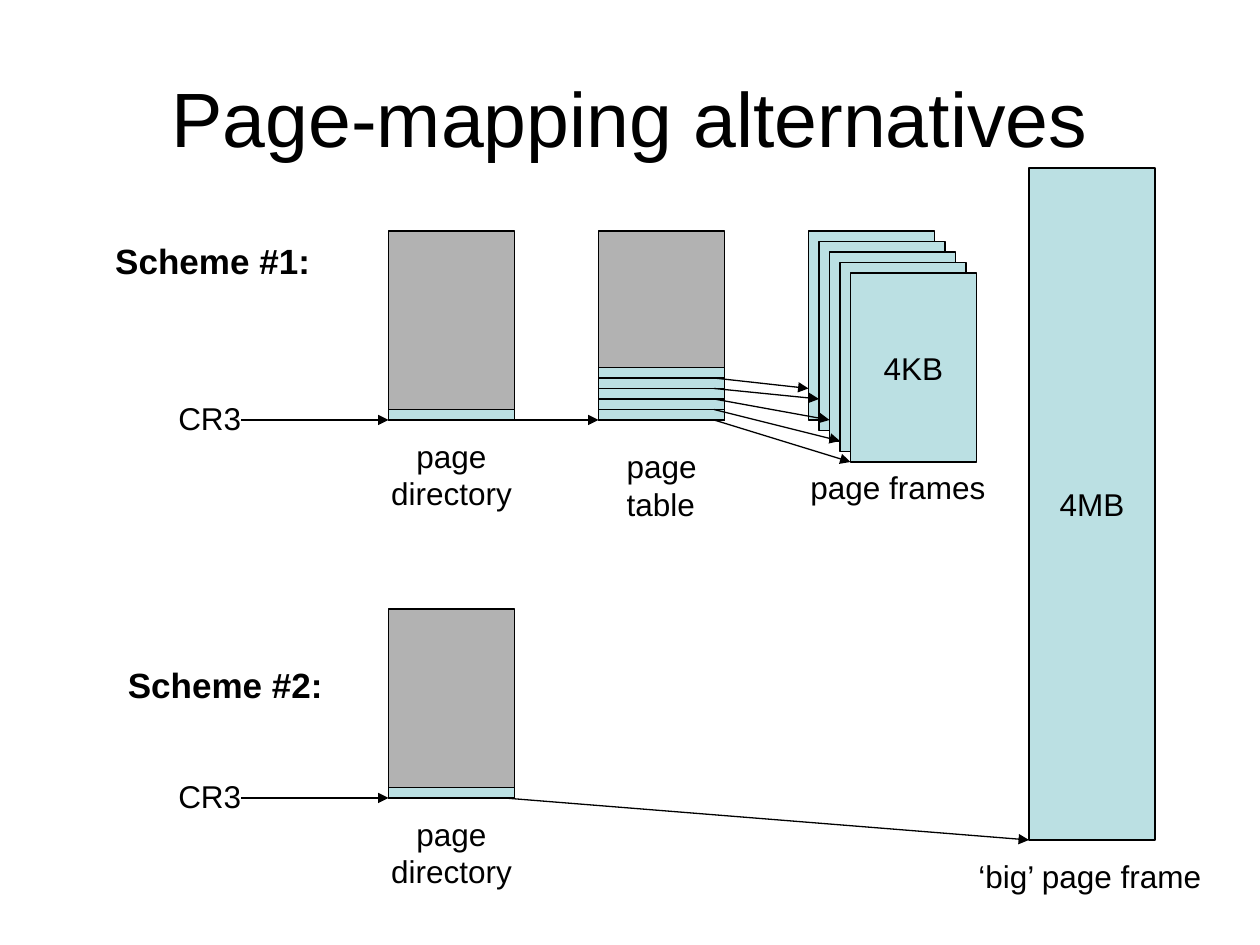
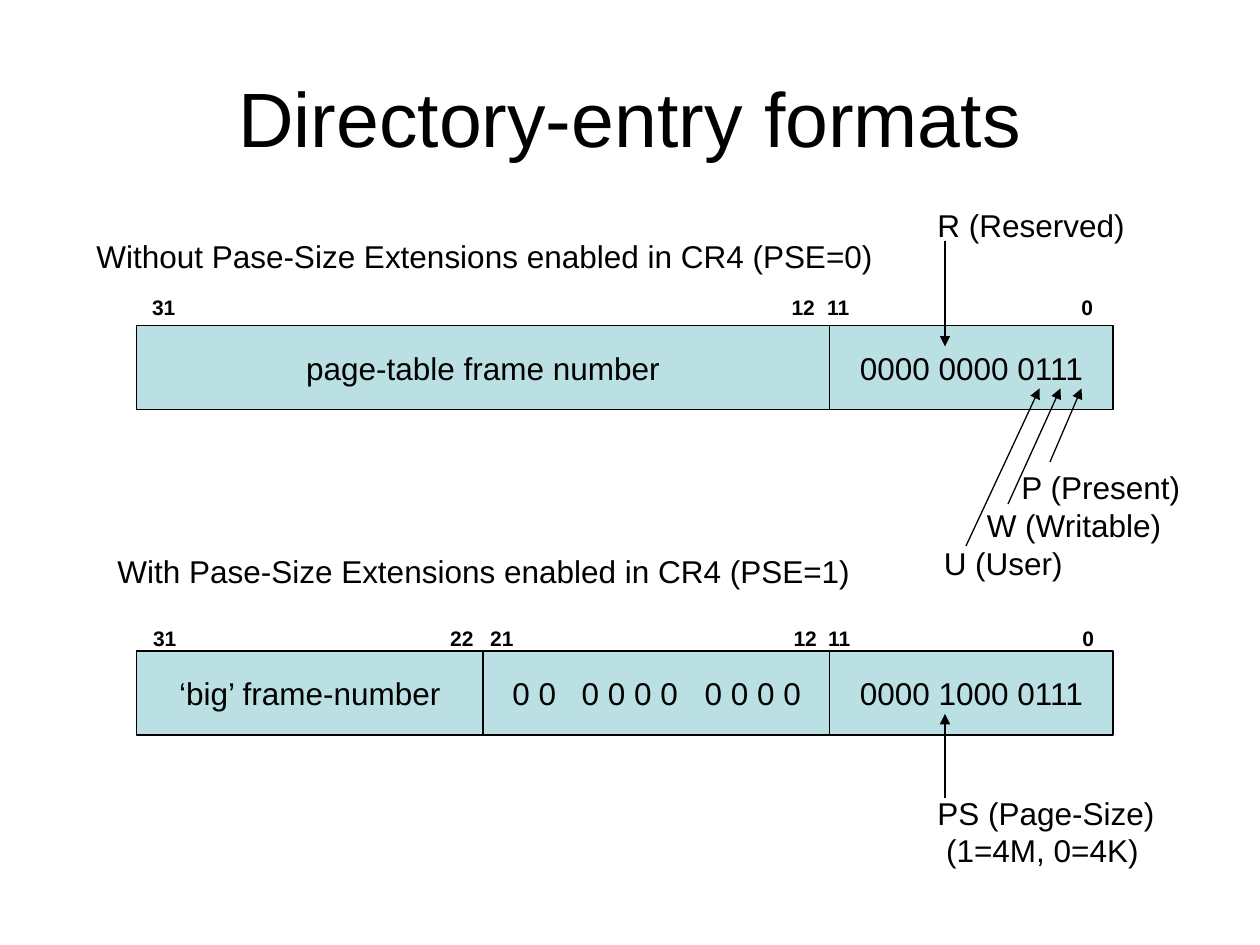
from lxml.etree import SubElement
from pptx import Presentation
from pptx.dml.color import RGBColor
from pptx.enum.shapes import MSO_CONNECTOR, MSO_SHAPE
from pptx.enum.text import MSO_ANCHOR, PP_ALIGN
from pptx.oxml.ns import qn
from pptx.util import Pt

PX = 7620  # 120 px to the inch
BLACK, GRAY, AQUA = "000000", "B2B2B2", "BBE0E3"
FONT = "Arial"
LEFT, MID = PP_ALIGN.LEFT, PP_ALIGN.CENTER


def box(slide, x, y, w, h, text="", fill=None, size=18, bold=False, align=LEFT, tabs=()):
    """Add a filled, outlined block, or a plain text box if there is no fill."""
    area = [n * PX for n in (x, y, w, h)]
    if fill:
        shape = slide.shapes.add_shape(MSO_SHAPE.RECTANGLE, *area)
        shape.shadow.inherit = False
        shape.fill.solid()
        shape.fill.fore_color.rgb = RGBColor.from_string(fill)
        shape.line.color.rgb = RGBColor.from_string(BLACK)
        shape.line.width = Pt(0.75)
    else:
        shape = slide.shapes.add_textbox(*area)
    frame = shape.text_frame
    frame.word_wrap = True
    frame.vertical_anchor = MSO_ANCHOR.MIDDLE if fill else MSO_ANCHOR.TOP
    frame.text = text
    for para in frame.paragraphs:
        para.alignment = align
        if tabs:
            stops = SubElement(para._p.get_or_add_pPr(), qn("a:tabLst"))
            for stop in tabs:
                SubElement(stops, qn("a:tab"), pos=str(stop * PX), algn="l")
        for run in para.runs:
            run.font.name = FONT
            run.font.size = Pt(size)
            run.font.bold = bold
            run.font.color.rgb = RGBColor.from_string(BLACK)
    return shape


def arrow(slide, x1, y1, x2, y2):
    ends = [n * PX for n in (x1, y1, x2, y2)]
    line = slide.shapes.add_connector(MSO_CONNECTOR.STRAIGHT, *ends)
    line.line.color.rgb = RGBColor.from_string(BLACK)
    line.line.width = Pt(0.75)
    SubElement(line.line._get_or_add_ln(), qn("a:tailEnd"), type="triangle")
    SubElement(line._element.spPr, qn("a:effectLst"))


deck = Presentation()
deck.slide_width, deck.slide_height = 1200 * PX, 900 * PX
pages = []
for title in ("Page-mapping alternatives", "Directory-entry formats"):
    page = deck.slides.add_slide(deck.slide_layouts[6])
    head = box(page, 60, 36, 1080, 150, title, size=44, align=MID)
    head.text_frame.vertical_anchor = MSO_ANCHOR.MIDDLE
    pages.append(page)
schemes, formats = pages

# Both schemes start from CR3 and a page directory
for top, name, x, y in ((220, "Scheme #1:", 98, 222), (580, "Scheme #2:", 110, 626)):
    box(schemes, x, y, 230, 53, name, size=20, bold=True)
    box(schemes, 370, top, 120, 180, fill=GRAY)
    box(schemes, 370, top + 170, 120, 10, fill=AQUA)
    box(schemes, 158, top + 154, 100, 48, "CR3")
    arrow(schemes, 230, top + 180, 370, top + 180)
    box(schemes, 350, top + 190, 160, 84, "page\ndirectory", align=MID)

# Scheme 1: page table with five entries, each leading to a frame
box(schemes, 570, 220, 120, 180, fill=GRAY)
arrow(schemes, 490, 400, 570, 400)
hits = (370, 380, 400, 420, 440)
for i in range(len(hits)):
    step = 10 * i
    box(schemes, 570, 390 - step, 120, 10, fill=AQUA)
    box(schemes, 770 + step, 220 + step, 120, 180, "4KB" if i == 4 else "", AQUA, align=MID)
for i, hit in enumerate(hits):
    arrow(schemes, 680, 360 + 10 * i, 770 + 10 * i, hit)
box(schemes, 585, 420, 110, 84, "page\ntable")
box(schemes, 760, 440, 200, 48, "page frames")

# Scheme 2: one big frame
box(schemes, 980, 160, 120, 640, "4MB", AQUA, align=MID)
box(schemes, 920, 810, 250, 48, "‘big’ page frame")
arrow(schemes, 480, 760, 980, 800)

# Entry fields, as (left, width, text)
rows = (
    (310, ((130, 660, "page-table frame number"), (790, 270, "0000 0000 0111"))),
    (620, ((130, 330, "‘big’ frame-number"), (790, 270, "0000 1000 0111"))),
)
for top, cells in rows:
    for x, w, text in cells:
        box(formats, x, top, w, 80, text, AQUA, align=MID)
zeros = box(formats, 460, 620, 330, 80, "0 0\t0 0 0 0\t0 0 0 0", AQUA, tabs=(66, 183))
zeros.text_frame.margin_left = 28 * PX

# Bit numbers and captions
box(formats, 133, 275, 940, 36, "31\t12\t11\t0", size=12, bold=True, tabs=(609, 643, 885))
box(formats, 134, 590, 940, 36, "31\t22\t21\t12\t11\t0", size=12, bold=True,
    tabs=(283, 321, 610, 643, 885))
box(formats, 80, 220, 780, 48, "Without Pase-Size Extensions enabled in CR4 (PSE=0)")
box(formats, 100, 520, 740, 48, "With Pase-Size Extensions enabled in CR4 (PSE=1)")

# Flag bits
box(formats, 881, 190, 220, 48, "R (Reserved)")
arrow(formats, 900, 230, 900, 330)
box(formats, 881, 750, 250, 84, "PS (Page-Size)\n (1=4M, 0=4K)")
arrow(formats, 900, 760, 900, 680)
for i, (flag, x) in enumerate((("P (Present)", 961), ("W (Writable)", 928), ("U (User)", 887))):
    box(formats, x, 440 + 36 * i, 200, 48, flag)
    arrow(formats, 1000 - 40 * i, 440 + 40 * i, 1030 - 20 * i, 370)

deck.save("out.pptx")
